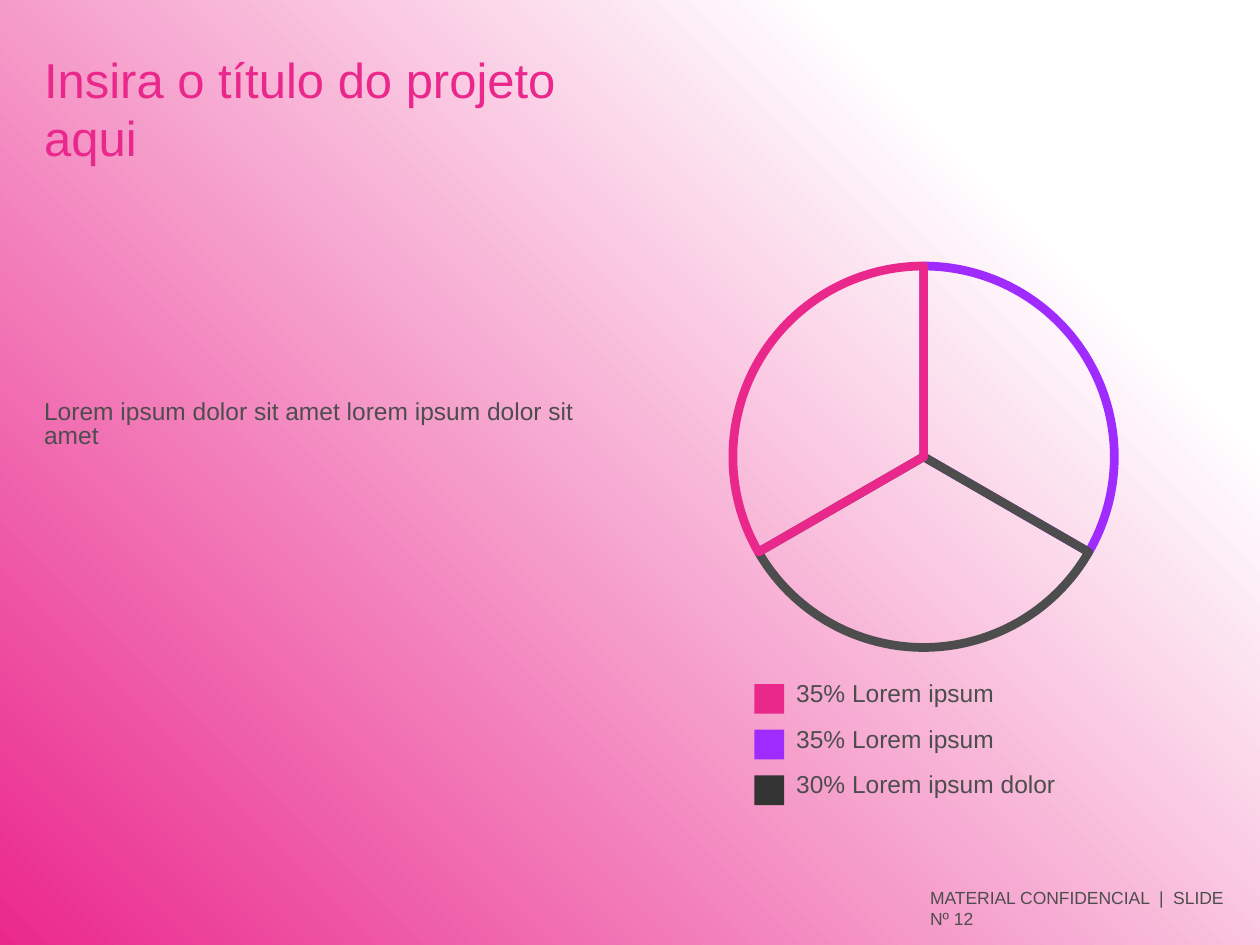
import pptx
import pptx.chart.data
import pptx.dml.color
import pptx.enum.chart
import pptx.enum.shapes
import pptx.util
from lxml import etree
from pptx.util import Cm, Pt

PINK, PURPLE, GRAY, CHARCOAL, WHITE = "EA288C", "A02BFF", "4D4D4D", "333333", "FFFFFF"


def color(hex_string):
    return pptx.dml.color.RGBColor.from_string(hex_string)


def add_text(text, left, top, width, height, size, hex_string, spacing=None):
    box = slide.shapes.add_textbox(Cm(left), Cm(top), Cm(width), Cm(height))
    frame = box.text_frame
    frame.word_wrap = True
    frame.margin_left = frame.margin_right = frame.margin_top = frame.margin_bottom = 0
    frame.text = text
    para = frame.paragraphs[0]
    if spacing:
        para.line_spacing = Pt(spacing)
    span = para.runs[0]
    span.font.name = "Arial"
    span.font.size = Pt(size)
    span.font.color.rgb = color(hex_string)


deck = pptx.Presentation()
deck.slide_width, deck.slide_height = Cm(25.4), Cm(19.05)
slide = deck.slides.add_slide(deck.slide_layouts[6])

# Background: pink at the bottom left fading to white at the top right
background = slide.background.fill
background.gradient()
background.gradient_angle = 45
for stop, position, shade in zip(background.gradient_stops, (0, 0.8), (PINK, WHITE)):
    stop.position = position
    stop.color.rgb = color(shade)

# Body text and title
add_text("Lorem ipsum dolor sit amet lorem ipsum dolor sit amet",
         0.89, 8.08, 11.86, 4.42, 14, GRAY, spacing=14)
add_text("Insira o título do projeto aqui", 0.89, 0.99, 10.57, 3.51, 28, PINK)

# Pie chart with outlined, unfilled slices
data = pptx.chart.data.CategoryChartData()
data.categories = ["1", "2", "3"]
data.add_series("Series 1", (33, 33, 33))
chart = slide.shapes.add_chart(pptx.enum.chart.XL_CHART_TYPE.PIE,
                               Cm(13.69), Cm(5.03), Cm(9.86), Cm(8.36), data).chart
chart.has_legend = False
chart.has_title = False
chart.font.name = "Arial"
chart.font.size = Pt(18)
chart.font.color.rgb = color(WHITE)
plot = chart.plots[0]
plot.vary_by_categories = False
for index, shade in enumerate((PURPLE, GRAY, PINK)):
    slice_format = plot.series[0].points[index].format
    slice_format.fill.background()
    slice_format.line.color.rgb = color(shade)
    slice_format.line.width = Pt(5)

# Fixed plot area inside the chart frame
namespace = "{http://schemas.openxmlformats.org/drawingml/2006/chart}"
plot_area = chart.element.find(f".//{namespace}plotArea")
for old_layout in plot_area.findall(f"{namespace}layout"):
    plot_area.remove(old_layout)
layout = etree.Element(f"{namespace}layout")
plot_area.insert(0, layout)
manual = etree.SubElement(layout, f"{namespace}manualLayout")
for tag, value in (("layoutTarget", "inner"), ("xMode", "edge"), ("yMode", "edge"),
                   ("x", "0.11"), ("y", "0.04"), ("w", "0.78"), ("h", "0.92")):
    etree.SubElement(manual, f"{namespace}{tag}").set("val", value)

# Legend
legend = [("35% Lorem ipsum", PINK), ("35% Lorem ipsum", PURPLE),
          ("30% Lorem ipsum dolor", CHARCOAL)]
for row, (label, shade) in enumerate(legend):
    top = 13.79 + 0.92 * row
    swatch = slide.shapes.add_shape(pptx.enum.shapes.MSO_SHAPE.RECTANGLE,
                                    Cm(15.21), Cm(top), Cm(0.6), Cm(0.6))
    swatch.shadow.inherit = False
    swatch.fill.solid()
    swatch.fill.fore_color.rgb = color(shade)
    swatch.line.fill.background()
    add_text(label, 16.05, top - 0.02, 11.43, 0.84, 14, GRAY, spacing=14)

# Footer
add_text("MATERIAL CONFIDENCIAL  |  SLIDE Nº 12", 18.75, 17.88, 6.15, 0.64, 10, GRAY)

deck.save("out.pptx")
